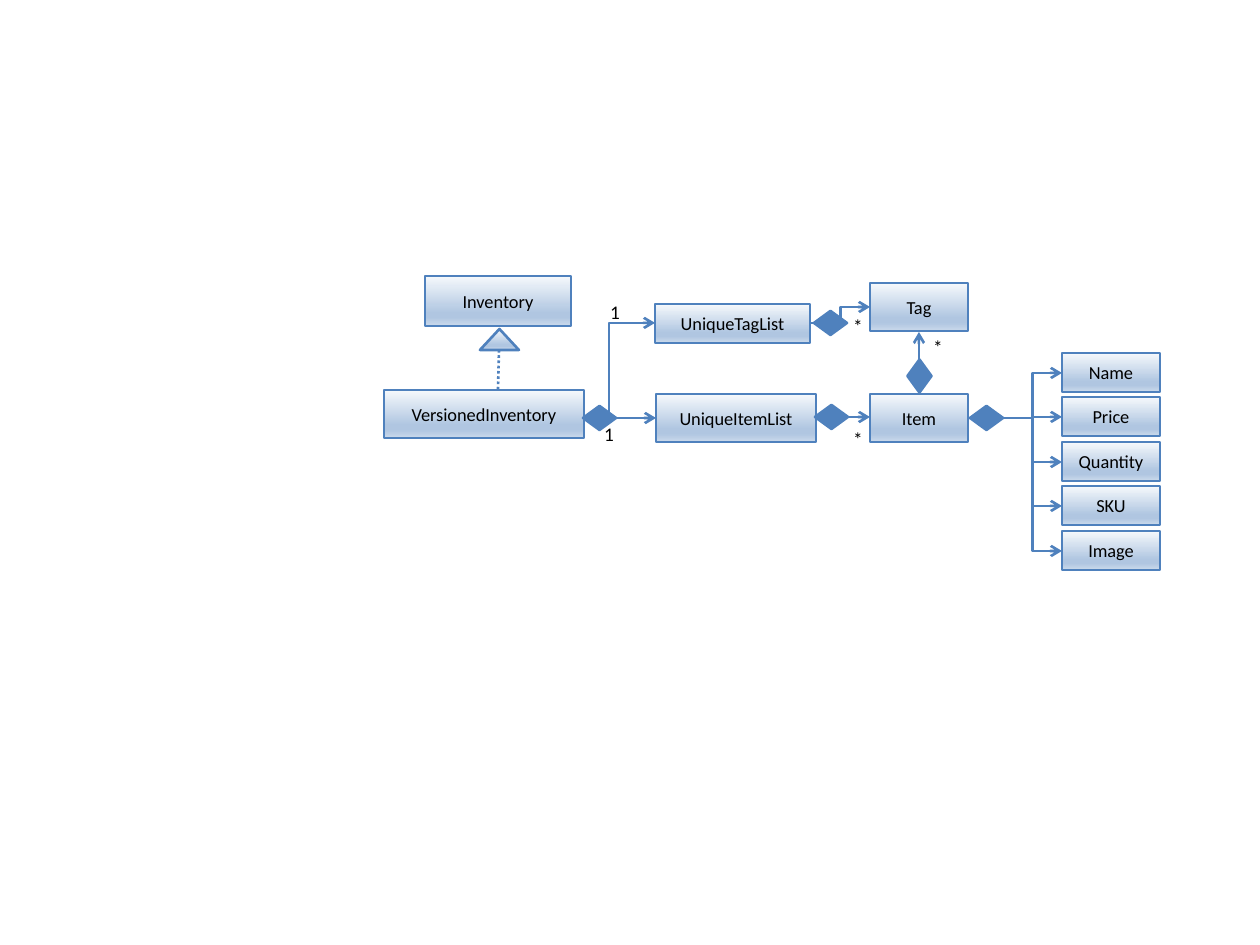
import lxml.etree
import pptx
import pptx.dml.color
import pptx.enum.dml
import pptx.enum.shapes
import pptx.enum.text
import pptx.oxml
import pptx.oxml.ns
import pptx.util

SCALE = 914400 / 126
BLUE, BLACK = "4F81BD", "000000"
STOPS = [(0, "F6F9FC"), (74, "B0C6E1"), (83, "B0C6E1"), (100, "CAD9EB")]
KINDS = pptx.enum.shapes.MSO_SHAPE
LINKS = pptx.enum.shapes.MSO_CONNECTOR


def px(*sizes):
    """Turn px lengths into EMU."""
    return [pptx.util.Emu(round(size * SCALE)) for size in sizes]


def tint(code):
    """Turn a hex string into a colour."""
    return pptx.dml.color.RGBColor.from_string(code)


def write(frame, text, size=10.5, font="Calibri", color=BLACK):
    """Put centred text in a frame."""
    frame.word_wrap = True
    para = frame.paragraphs[0]
    para.alignment = pptx.enum.text.PP_ALIGN.CENTER
    run = para.add_run()
    run.text = text
    run.font.size = pptx.util.Pt(size)
    run.font.name = font
    run.font.color.rgb = tint(color)


def add(node, tag, **attrs):
    """Add a child element to an XML node."""
    return lxml.etree.SubElement(node, pptx.oxml.ns.qn(tag), attrs)


class Chart:
    """Hold the style and the slide of a class chart."""

    def __init__(self, slide, color=BLUE, width=1.5):
        """Keep the slide and the line style."""
        self.shapes = slide.shapes
        self.color = color
        self.width = pptx.util.Pt(width)

    def stroke(self, line):
        """Set the line style."""
        line.color.rgb = tint(self.color)
        line.width = self.width

    def shape(self, kind, *place):
        """Add a shape with the blue outline."""
        shape = self.shapes.add_shape(kind, *px(*place))
        shape.shadow.inherit = False
        self.stroke(shape.line)
        return shape

    def shade(self, kind, *place):
        """Add a shape with the pale gradient."""
        shape = self.shape(kind, *place)
        shape.fill.gradient()
        shape.fill.gradient_angle = 270
        stops = shape._element.spPr.find(".//" + pptx.oxml.ns.qn("a:gsLst"))
        for old in list(stops):
            stops.remove(old)
        for part, code in STOPS:
            stop = add(stops, "a:gs", pos=str(part * 1000))
            add(stop, "a:srgbClr", val=code)
        return shape

    def box(self, name, *place):
        """Add a class box."""
        frame = self.shade(KINDS.RECTANGLE, *place).text_frame
        frame.vertical_anchor = pptx.enum.text.MSO_ANCHOR.MIDDLE
        write(frame, name)

    def diamond(self, left, top, turn=0):
        """Add a filled diamond."""
        shape = self.shape(KINDS.FLOWCHART_DECISION, left, top, 33, 24)
        shape.fill.solid()
        shape.fill.fore_color.rgb = tint(self.color)
        shape.rotation = turn

    def link(self, *ends, kind=LINKS.ELBOW, bend=None, dotted=False):
        """Add an arrow, or a dotted line without a head."""
        link = self.shapes.add_connector(kind, *px(*ends))
        self.stroke(link.line)
        props = link._element.spPr
        if bend is not None:
            guides = props.find(".//" + pptx.oxml.ns.qn("a:avLst"))
            add(guides, "a:gd", name="adj1", fmla=f"val {bend}")
        if dotted:
            link.line.dash_style = pptx.enum.dml.MSO_LINE.ROUND_DOT
        else:
            add(link.line._get_or_add_ln(), "a:tailEnd", type="arrow")
        add(props, "a:effectLst")

    def label(self, text, left, top):
        """Add a count beside an arrow."""
        frame = self.shapes.add_textbox(*px(left, top, 26, 25)).text_frame
        frame.margin_left = frame.margin_right = 0
        frame.margin_top = frame.margin_bottom = 0
        write(frame, text, size=11)


def main():
    """Build the slide and save it."""
    deck = pptx.Presentation()
    deck.slide_width, deck.slide_height = px(1260, 945)
    chart = Chart(deck.slides.add_slide(deck.slide_layouts[6]))

    for name, *place in [
        ("VersionedInventory", 384, 390, 200, 48),
        ("UniqueItemList", 656, 394, 160, 48),
        ("Item", 870, 394, 98, 48),
        ("UniqueTagList", 655, 304, 155, 39),
        ("Tag", 870, 283, 98, 48),
        ("Inventory", 425, 276, 146, 50),
    ]:
        chart.box(name, *place)

    for place in [(583, 406), (815, 405), (970, 406), (903, 364, 270), (814, 311)]:
        chart.diamond(*place)

    for ends in [(616, 418, 656, 418), (849, 417, 870, 417), (919, 359, 919, 332)]:
        chart.link(*ends, kind=LINKS.STRAIGHT)
    chart.link(609, 422, 655, 323, bend=0)
    chart.link(811, 323, 870, 307)
    chart.link(499, 350, 498, 390, kind=LINKS.STRAIGHT, dotted=True)
    chart.shade(KINDS.ISOSCELES_TRIANGLE, 480, 329, 39, 21)

    for row, name in enumerate(["Name", "Price", "Quantity", "SKU", "Image"]):
        top = 353 + row * 89 // 2
        chart.box(name, 1062, top, 98, 39)
        chart.link(1003, 418, 1062, top + 20)

    for text, left, top in [
        ("1", 596, 422),
        ("1", 602, 300),
        ("*", 845, 427),
        ("*", 925, 335),
        ("*", 845, 314),
    ]:
        chart.label(text, left, top)

    deck.save("out.pptx")


if __name__ == "__main__":
    main()
